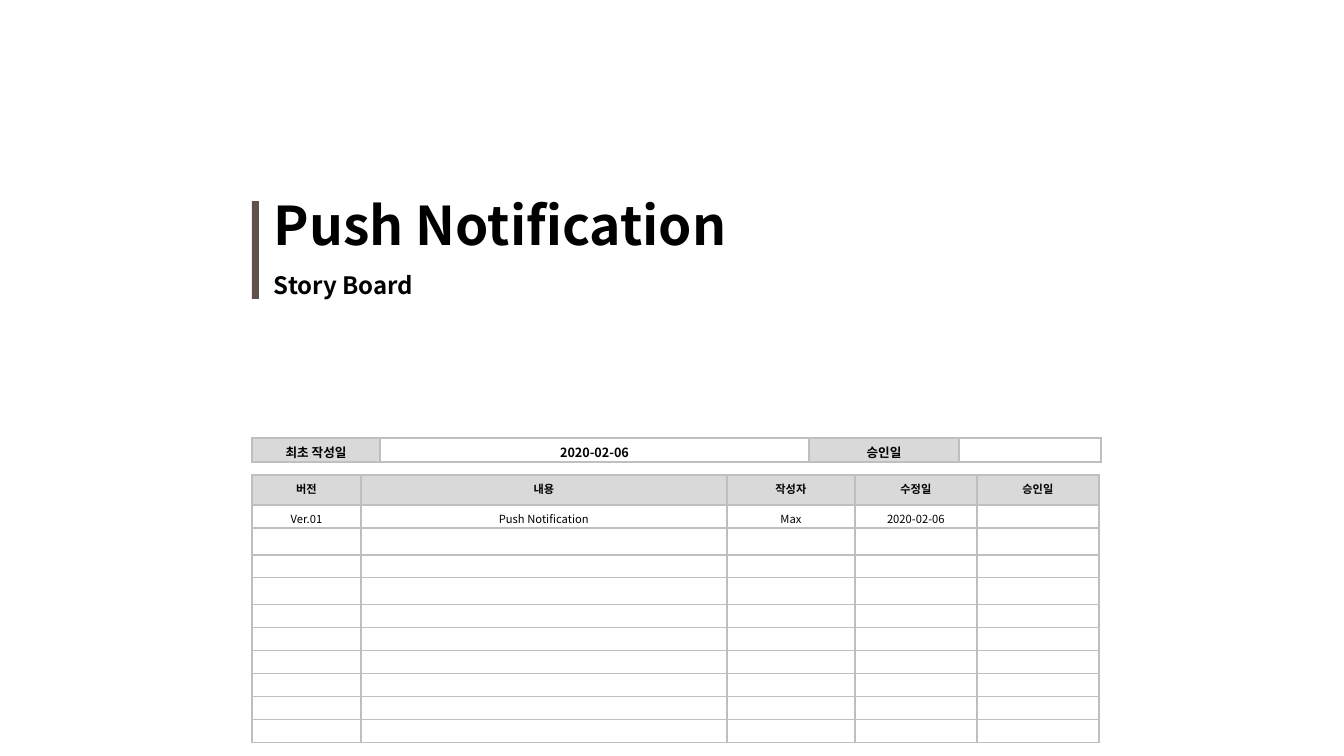
import pptx
import pptx.util
import pptx.dml.color
import pptx.enum.shapes
import pptx.enum.text
import pptx.oxml
import pptx.oxml.ns
import lxml.etree

RGB = pptx.dml.color.RGBColor
ALIGN = pptx.enum.text.PP_ALIGN
ANCHOR = pptx.enum.text.MSO_ANCHOR
BLACK = RGB(0x00, 0x00, 0x00)
WHITE = RGB(0xFF, 0xFF, 0xFF)
GREY = RGB(0xD9, 0xD9, 0xD9)
LINE = RGB(0xBF, 0xBF, 0xBF)
BROWN = RGB(0x60, 0x51, 0x4B)
FONT = "Noto Sans CJK KR"
SCALE = 914400 / 100.8

# Content
TITLE = "Push Notification"
SUB = "Story Board"
DATES = [["최초 작성일", "2020-02-06", "승인일", ""]]
LOG = [["버전", "내용", "작성자", "수정일", "승인일"],
       ["Ver.01", "Push Notification", "Max", "2020-02-06", ""]]
LOG += [[""] * 5 for _ in range(9)]

# Sizes in pixels
LEFT = 252
DATE_COLS = [128, 429, 150, 142]
LOG_COLS = [109, 366, 128, 122, 122]
LOG_ROWS = [30, 23, 27, 23, 27] + [23] * 6


def px(n):
    return pptx.util.Emu(round(n * SCALE))


def tag(parent, name, **attrs):
    return lxml.etree.SubElement(parent, pptx.oxml.ns.qn(name), attrs)


def write(frame, text, size, bold=True, align=ALIGN.LEFT):
    para = frame.paragraphs[0]
    para.alignment = align
    if not text:
        # An empty cell still needs a small line height
        para._p.get_or_add_endParaRPr().set("sz", str(int(size * 100)))
        return
    run = para.add_run()
    run.text = text
    font = run.font
    font.name, font.size, font.bold = FONT, pptx.util.Pt(size), bold
    font.color.rgb = BLACK
    tag(run._r.get_or_add_rPr(), "a:ea", typeface=FONT)


def heading(box, text, size, top, height):
    box.left, box.top, box.width, box.height = px(267), px(top), px(817), px(height)
    frame = box.text_frame
    frame.word_wrap = True
    frame.auto_size = pptx.enum.text.MSO_AUTO_SIZE.NONE
    frame.vertical_anchor = ANCHOR.MIDDLE
    frame.margin_left = frame.margin_right = px(7)
    frame.margin_top = frame.margin_bottom = 0
    write(frame, text, size)
    frame.paragraphs[0].line_spacing = 1.0


def edge(cell):
    props = cell._tc.get_or_add_tcPr()
    for side in "LRTB":
        line = tag(props, "a:ln" + side, w="12700")
        tag(tag(line, "a:solidFill"), "a:srgbClr", val=str(LINE))


def grid(top, data, cols, rows, size, is_head):
    frame = slide.shapes.add_table(len(rows), len(cols), px(LEFT), px(top),
                                   px(sum(cols)), px(sum(rows)))
    table = frame.table
    table.first_row = table.horz_banding = False
    for col, width in zip(table.columns, cols):
        col.width = px(width)
    for r, height in enumerate(rows):
        table.rows[r].height = px(height)
        for c, text in enumerate(data[r]):
            cell = table.cell(r, c)
            head = is_head(r, c)
            cell.margin_left = cell.margin_right = px(10)
            cell.margin_top, cell.margin_bottom = px(5), 0
            edge(cell)
            cell.fill.solid()
            cell.fill.fore_color.rgb = GREY if head else WHITE
            write(cell.text_frame, text, size, align=ALIGN.CENTER,
                  bold=head or data is DATES)


deck = pptx.Presentation()
deck.slide_width, deck.slide_height = px(1344), px(756)
slide = deck.slides.add_slide(deck.slide_layouts[5])

# Title block with its bar
heading(slide.shapes.title, TITLE, 38.1, 187, 75)
heading(slide.shapes.add_textbox(0, 0, 0, 0), SUB, 17.1, 265, 39)
bar = slide.shapes.add_shape(pptx.enum.shapes.MSO_SHAPE.RECTANGLE,
                             px(LEFT), px(201), px(7), px(98))
bar.shadow.inherit = False
bar.fill.solid()
bar.fill.fore_color.rgb = BROWN
bar.line.fill.background()

# Revision log and date strip
grid(475, LOG, LOG_COLS, LOG_ROWS, 8, lambda r, c: r == 0)
grid(438, DATES, DATE_COLS, [24], 9, lambda r, c: c % 2 == 0)

deck.save("out.pptx")
